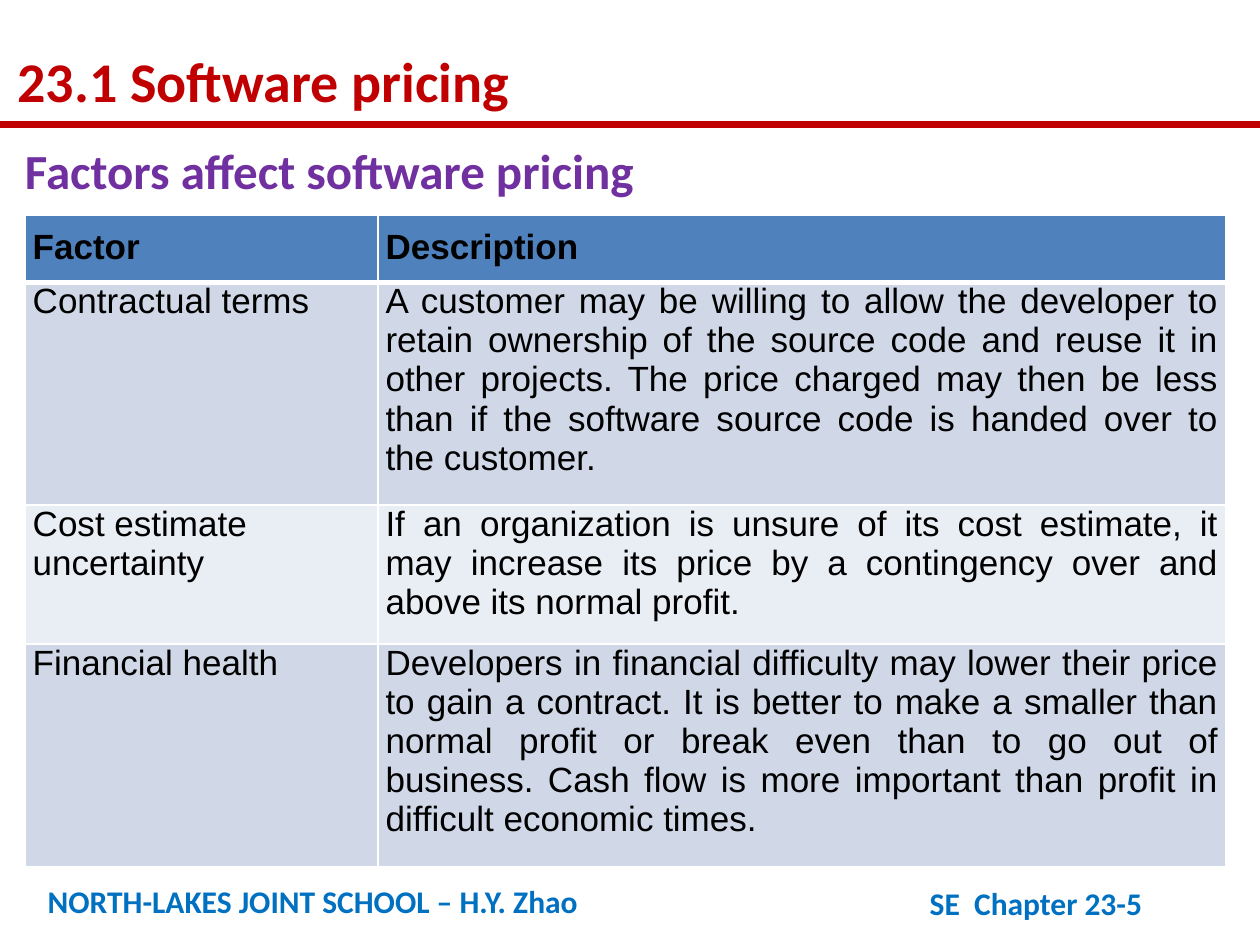
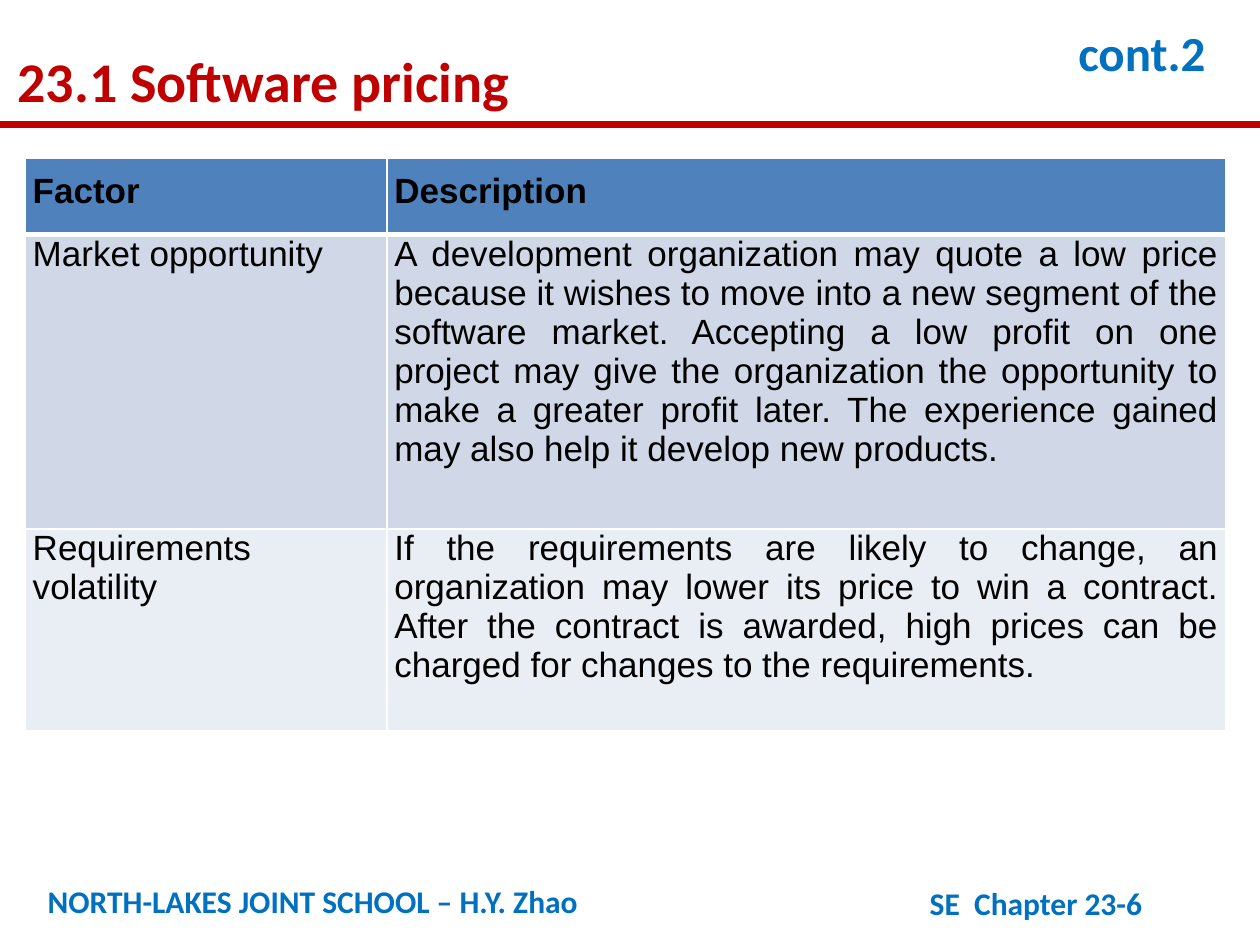
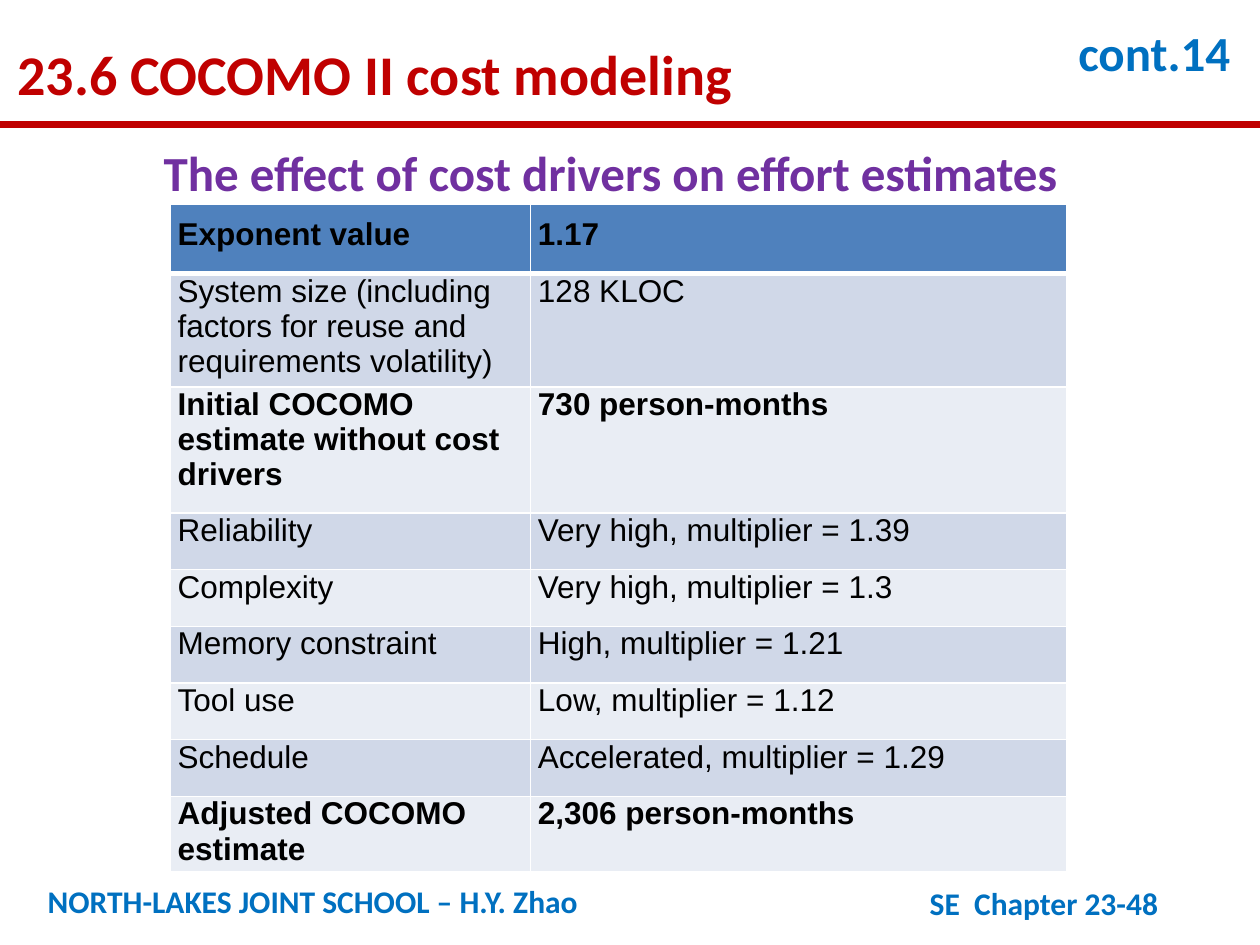
from dataclasses import dataclass

from lxml import etree
from pptx import Presentation
from pptx.dml.color import RGBColor
from pptx.enum.shapes import MSO_CONNECTOR
from pptx.enum.text import MSO_ANCHOR, MSO_AUTO_SIZE, PP_ALIGN
from pptx.oxml.ns import qn
from pptx.util import Inches, Pt

STRAIGHT = MSO_CONNECTOR.STRAIGHT
TOP = MSO_ANCHOR.TOP
NO_FIT = MSO_AUTO_SIZE.NONE
LEFT, JUSTIFY = PP_ALIGN.LEFT, PP_ALIGN.JUSTIFY
TITLE_ONLY = 5


@dataclass(frozen=True)
class Theme:
    head_font: str = "Calibri"
    table_font: str = "Arial"
    red: str = "C00000"
    blue: str = "0070C0"
    purple: str = "7030A0"
    black: str = "000000"
    white: str = "FFFFFF"
    header: str = "4F81BD"
    bands: tuple = ("D0D8E8", "E9EDF4")
    title: int = 32
    subtitle: int = 28
    footer: int = 18
    rule: int = 4
    border: int = 1
    header_border: int = 3


class Deck:
    def __init__(self, theme):
        self.theme = theme
        self.prs = Presentation()
        self.prs.slide_width = Inches(10)
        self.prs.slide_height = Inches(7.5)
        self.s = None

    def fill_text(self, tf, text, size, color, font, bold=True, align=LEFT, spacing=None):
        tf.word_wrap = True
        p = tf.paragraphs[0]
        p.alignment = align
        p.line_spacing = spacing
        r = p.add_run()
        r.text = text
        for name, value in {"name": font, "size": Pt(size), "bold": bold}.items():
            setattr(r.font, name, value)
        r.font.color.rgb = RGBColor.from_string(color)

    def slide(self, title, number, title_top=0.21, cont=None):
        t = self.theme
        self.s = self.prs.slides.add_slide(self.prs.slide_layouts[TITLE_ONLY])
        self.rule(0.99)
        self.text("NORTH-LAKES JOINT SCHOOL – H.Y. Zhao", (0.28, 6.95, 6.31, 0.4), t.footer, t.blue)
        self.text(f"SE  Chapter 23-{number}", (7.28, 6.97, 2.61, 0.4), t.footer, t.blue)
        self.title(title, title_top)
        if cont:
            self.text(f"cont.{cont}", (8.46, 0.21, 1.5, 0.5), t.subtitle, t.blue, Pt(t.subtitle))

    def title(self, text, top):
        t = self.theme
        sp = self.s.shapes.title
        box = {"left": 0.04, "top": top, "width": 8.43, "height": 0.7}
        for name, value in box.items():
            setattr(sp, name, Inches(value))
        tf = sp.text_frame
        tf.auto_size = NO_FIT
        tf.vertical_anchor = TOP
        self.fill_text(tf, text, t.title, t.red, t.head_font, spacing=1.2)

    def rule(self, y):
        t = self.theme
        sp = self.s.shapes.add_connector(STRAIGHT, 0, Inches(y), self.prs.slide_width, Inches(y))
        sp.line.color.rgb = RGBColor.from_string(t.red)
        sp.line.width = Pt(t.rule)
        etree.SubElement(sp.element.spPr, qn("a:effectLst"))

    def text(self, text, box, size, color, spacing=None):
        sp = self.s.shapes.add_textbox(*map(Inches, box))
        self.fill_text(sp.text_frame, text, size, color, self.theme.head_font, spacing=spacing)

    def subtitle(self, text, box):
        self.text(text, box, self.theme.subtitle, self.theme.purple)

    def borders(self, cell, row):
        t = self.theme
        pr = cell._tc.get_or_add_tcPr()
        widths = {
            "L": t.border,
            "R": t.border,
            "T": t.header_border if row == 1 else t.border,
            "B": t.header_border if row == 0 else t.border,
        }
        for side, width in widths.items():
            ln = etree.SubElement(pr, qn(f"a:ln{side}"), w=str(Pt(width)))
            fill = etree.SubElement(ln, qn("a:solidFill"))
            etree.SubElement(fill, qn("a:srgbClr"), val=t.white)

    def table(self, rows, origin, widths, heights, size=20, bold_rows=(0,)):
        t = self.theme
        box = (*origin, sum(widths), sum(heights))
        tbl = self.s.shapes.add_table(len(rows), len(widths), *map(Inches, box)).table
        for col, width in zip(tbl.columns, widths):
            col.width = Inches(width)
        for i, (values, height) in enumerate(zip(rows, heights)):
            tbl.rows[i].height = Inches(height)
            for j, value in enumerate(values):
                cell = tbl.cell(i, j)
                margins = {"left": 0.06, "top": 0 if i else 0.1, "right": 0.06, "bottom": 0}
                for side, margin in margins.items():
                    setattr(cell, f"margin_{side}", Inches(margin))
                cell.vertical_anchor = TOP
                self.borders(cell, i)
                cell.fill.solid()
                color = t.bands[(i - 1) % 2] if i else t.header
                cell.fill.fore_color.rgb = RGBColor.from_string(color)
                self.fill_text(cell.text_frame, value, size, t.black, t.table_font,
                               bold=i in bold_rows, align=JUSTIFY if j else LEFT)


FACTOR_HEADER = ("Factor", "Description")

PRICING_FACTORS = [
    FACTOR_HEADER,
    ("Contractual terms",
     "A customer may be willing to allow the developer to retain ownership of the source code "
     "and reuse it in other projects. The price charged may then be less than if the software "
     "source code is handed over to the customer."),
    ("Cost estimate uncertainty",
     "If an organization is unsure of its cost estimate, it may increase its price by a "
     "contingency over and above its normal profit."),
    ("Financial health",
     "Developers in financial difficulty may lower their price to gain a contract. It is better "
     "to make a smaller than normal profit or break even than to go out of business. Cash flow "
     "is more important than profit in difficult economic times."),
]

MARKET_FACTORS = [
    FACTOR_HEADER,
    ("Market opportunity",
     "A development organization may quote a low price because it wishes to move into a new "
     "segment of the software market. Accepting a low profit on one project may give the "
     "organization the opportunity to make a greater profit later. The experience gained may "
     "also help it develop new products."),
    ("Requirements volatility",
     "If the requirements are likely to change, an organization may lower its price to win a "
     "contract. After the contract is awarded, high prices can be charged for changes to the "
     "requirements."),
]

COST_DRIVERS = [
    ("Exponent value", "1.17"),
    ("System size (including factors for reuse and requirements volatility)", "128 KLOC"),
    ("Initial COCOMO estimate without cost drivers", "730 person-months"),
    ("Reliability", "Very high, multiplier = 1.39"),
    ("Complexity", "Very high, multiplier = 1.3"),
    ("Memory constraint", "High, multiplier = 1.21"),
    ("Tool use", "Low, multiplier = 1.12"),
    ("Schedule", "Accelerated, multiplier = 1.29"),
    ("Adjusted COCOMO estimate", "2,306 person-months"),
]


def main():
    deck = Deck(Theme())

    deck.slide("23.1 Software pricing", 5)
    deck.subtitle("Factors affect software pricing", (0.1, 1.07, 9.9, 0.7))
    deck.table(PRICING_FACTORS, (0.2, 1.71), (2.8, 6.73), (0.53, 1.77, 1.1, 1.77))

    deck.slide("23.1 Software pricing", 6, cont=2)
    deck.table(MARKET_FACTORS, (0.2, 1.26), (2.87, 6.66), (0.6, 2.34, 1.6))

    deck.slide("23.6 COCOMO II cost modeling", 48, title_top=0.16, cont=14)
    deck.table(COST_DRIVERS, (1.35, 1.62), (2.86, 4.26),
               (0.55, 0.9, 1, *[0.45] * 5, 0.6), size=18, bold_rows=(0, 2, 8))
    deck.subtitle("The effect of cost drivers on effort estimates", (1.2, 1.08, 7.5, 0.57))

    deck.prs.save("out.pptx")


if __name__ == "__main__":
    main()
